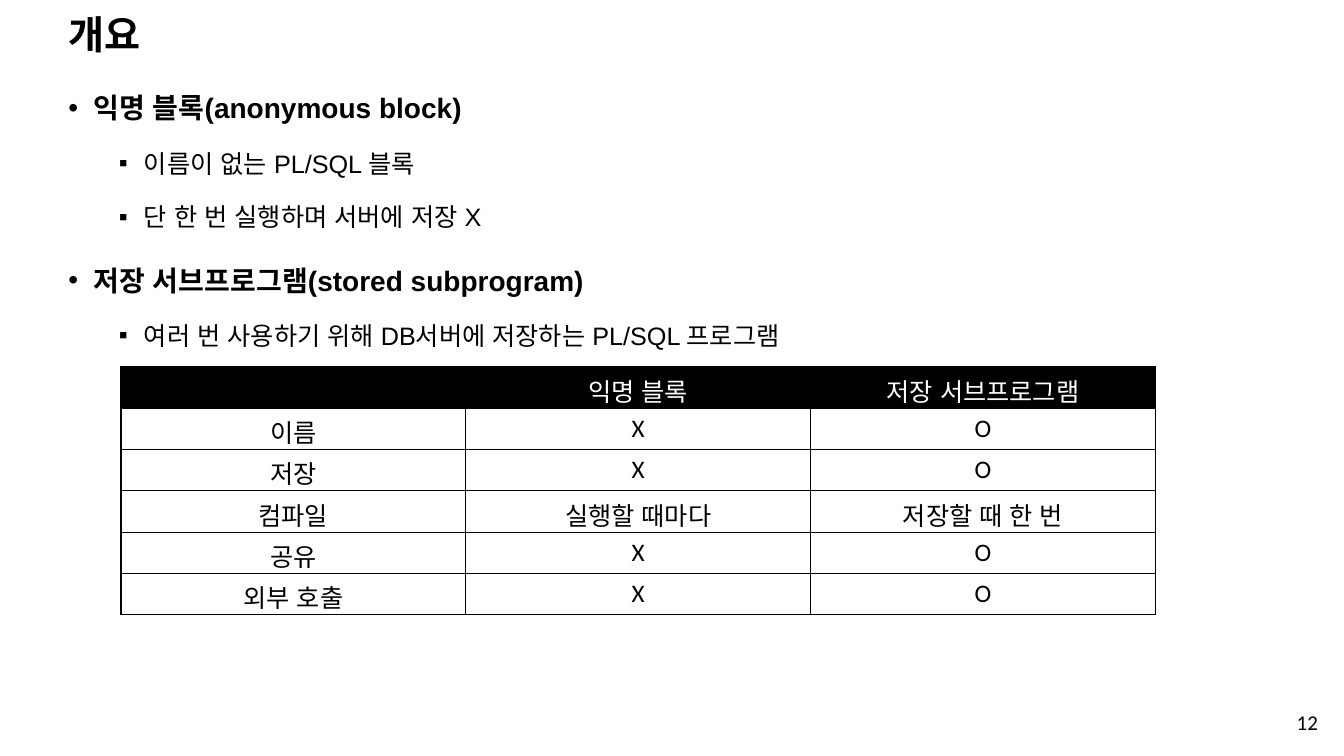
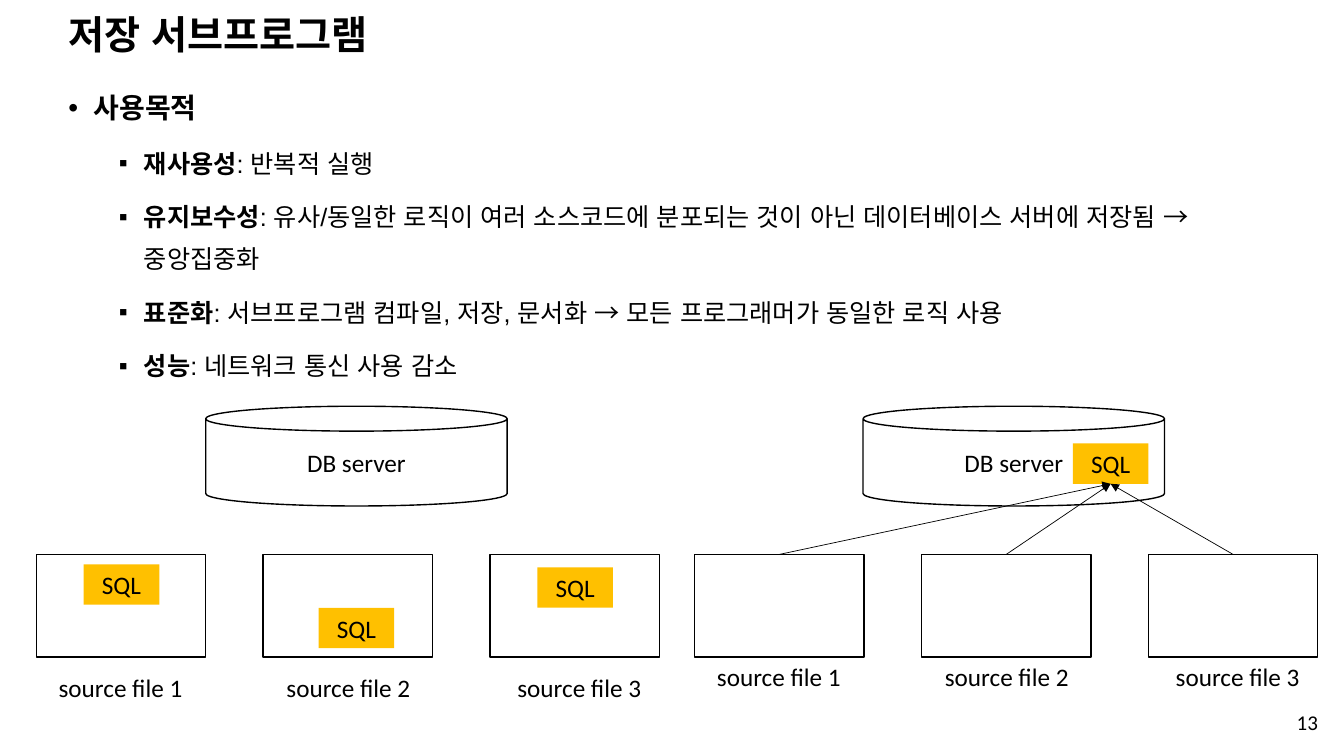
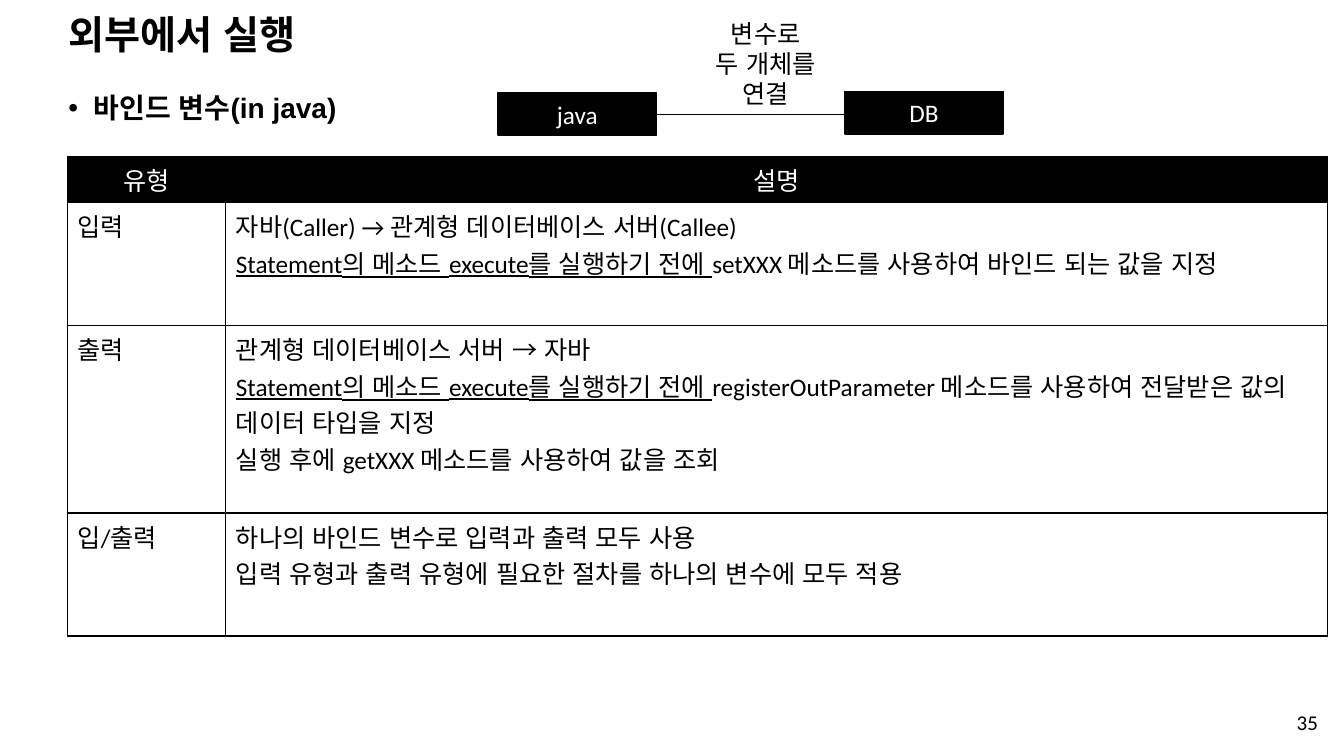
from lxml.etree import SubElement
from pptx import Presentation
from pptx.dml.color import RGBColor
from pptx.enum.lang import MSO_LANGUAGE_ID
from pptx.enum.shapes import MSO_CONNECTOR, MSO_SHAPE
from pptx.enum.text import MSO_ANCHOR, PP_ALIGN
from pptx.oxml.ns import qn
from pptx.util import Inches, Pt

HUES = {"ink": "000000", "page": "FFFFFF", "sql": "FFC000"}
LEFT, CENTER, RIGHT = PP_ALIGN.LEFT, PP_ALIGN.CENTER, PP_ALIGN.RIGHT
SIZE = (13.33, 7.5)
TITLE = (0.58, 0.17, 11.5, 0.38)
BODY = (0.58, 0.72, 12.14, 6.45)
NUMBER = (9.42, 6.95, 3.75, 0.42)

# Body levels: bullet, indent, size, bold, space before
LEVELS = [("•", 0.25, 20, True, 10), ("▪", 0.75, 18, False, 5)]
BOLD, LINE = {"bold": True}, {"underline": True}

INTRO = [
    (0, "익명 블록(anonymous block)"),
    (1, "이름이 없는 PL/SQL 블록"),
    (1, "단 한 번 실행하며 서버에 저장 X"),
    (0, "저장 서브프로그램(stored subprogram)"),
    (1, "여러 번 사용하기 위해 DB서버에 저장하는 PL/SQL 프로그램"),
]
KINDS = [
    ("", "익명 블록", "저장 서브프로그램"),
    ("이름", "X", "O"),
    ("저장", "X", "O"),
    ("컴파일", "실행할 때마다", "저장할 때 한 번"),
    ("공유", "X", "O"),
    ("외부 호출", "X", "O"),
]
GOALS = [
    (0, "사용목적"),
    (1, ("재사용성", BOLD), ": 반복적 실행"),
    (1, ("유지보수성", BOLD), ": 유사/동일한 로직이 여러 소스코드에 분포되는 것이 아닌 "
        "데이터베이스 서버에 저장됨 → 중앙집중화"),
    (1, ("표준화", BOLD), ": 서브프로그램 컴파일, 저장, 문서화 → "
        "모든 프로그래머가 동일한 로직 사용"),
    (1, ("성능", BOLD), ": 네트워크 통신 사용 감소"),
]
# Two scenes: first file, database left, caption top, SQL places
SCENES = [
    (0.36, 2.04, 6.62, [(0.83, 5.6), (3.16, 6.03), (5.33, 5.63)]),
    (6.89, 8.56, 6.51, [(10.64, 4.4)]),
]
FILE = (1.68, 1.02)
FILE_TOP, FILE_STEP = 5.5, 2.25
NUDGE = (0.11, 0.12, 0.16)
CAN = (2.99, 0.99)
TAG = (0.75, 0.4)

BIND = [(0, "바인드 변수(in java)")]
BEFORE = ("Statement의 메소드 execute를 실행하기 전에 ", LINE)
MODES = [
    ("유형", "설명"),
    ("입력", [
        "자바(Caller) → 관계형 데이터베이스 서버(Callee)",
        [BEFORE, "setXXX 메소드를 사용하여 바인드 되는 값을 지정"]]),
    ("출력", [
        "관계형 데이터베이스 서버 → 자바",
        [BEFORE, "registerOutParameter 메소드를 사용하여 전달받은 값의 데이터 타입을 지정"],
        "실행 후에 getXXX 메소드를 사용하여 값을 조회"]),
    ("입/출력", [
        "하나의 바인드 변수로 입력과 출력 모두 사용",
        "입력 유형과 출력 유형에 필요한 절차를 하나의 변수에 모두 적용"]),
]
ENDS = [("java", 4.94, 0.92), ("DB", 8.38, 0.91)]
END = (1.57, 0.42)
LINK = ["변수로", "두 개체를", "연결"]


def hue(name):
    return RGBColor.from_string(HUES[name])


def inch(*nums):
    return [Inches(n) for n in nums]


def write(para, runs, size=18, font="Calibri", color="ink", bold=False,
          align=LEFT, space=None):
    """Fill a paragraph with runs: plain strings or (text, changes) pairs."""
    para.alignment = align
    if space:
        para.line_spacing = space
    for part in [runs] if isinstance(runs, str) else runs:
        text, more = (part, {}) if isinstance(part, str) else part
        run = para.add_run()
        run.text = text
        face = run.font
        face.size, face.name = Pt(size), font
        face.language_id = MSO_LANGUAGE_ID.KOREAN
        face.color.rgb = hue(color)
        face.bold = more.get("bold", bold)
        face.underline = more.get("underline", False)


def put(frame, text, **fmt):
    """Write one string, or a list with one entry per paragraph."""
    for i, runs in enumerate([text] if isinstance(text, str) else text):
        write(frame.add_paragraph() if i else frame.paragraphs[0], runs, **fmt)


def label(slide, box, text, wrap=True, anchor=MSO_ANCHOR.TOP, **fmt):
    frame = slide.shapes.add_textbox(*inch(*box)).text_frame
    frame.word_wrap = wrap
    frame.vertical_anchor = anchor
    put(frame, text, **fmt)


def block(slide, box, text="", kind=MSO_SHAPE.RECTANGLE, fill="page",
          edge="ink", **fmt):
    shape = slide.shapes.add_shape(kind, *inch(*box))
    shape.shadow.inherit = False
    shape.fill.solid()
    shape.fill.fore_color.rgb = hue(fill)
    if edge:
        shape.line.color.rgb = hue(edge)
        shape.line.width = Pt(1)
    else:
        shape.line.fill.background()
    if text:
        shape.text_frame.vertical_anchor = MSO_ANCHOR.MIDDLE
        put(shape.text_frame, text, align=CENTER, **fmt)


def link(slide, start, end, arrow=False):
    wire = slide.shapes.add_connector(
        MSO_CONNECTOR.STRAIGHT, *inch(*start, *end))
    wire.line.color.rgb = hue("ink")
    wire.line.width = Pt(0.5)
    if arrow:
        SubElement(wire.line._get_or_add_ln(), qn("a:tailEnd"), type="triangle")
    SubElement(wire._element.spPr, qn("a:effectLst"))


def border(cell):
    props = cell._tc.get_or_add_tcPr()
    for side in ("lnL", "lnR", "lnT", "lnB"):
        line = SubElement(props, qn(f"a:{side}"), w=str(Pt(1)))
        fill = SubElement(line, qn("a:solidFill"))
        SubElement(fill, qn("a:srgbClr"), val=HUES["ink"])


def grid(slide, left, top, cols, rows, data, align):
    """Draw a ruled table with a black, centred head row."""
    table = slide.shapes.add_table(
        len(rows), len(cols), *inch(left, top, sum(cols), sum(rows))).table
    table.first_row = table.horz_banding = False
    for col, width in zip(table.columns, cols):
        col.width = Inches(width)
    for r, (row, high) in enumerate(zip(data, rows)):
        table.rows[r].height = Inches(high)
        for c, text in enumerate(row):
            cell = table.cell(r, c)
            border(cell)
            cell.fill.solid()
            cell.fill.fore_color.rgb = hue("page" if r else "ink")
            if r and align == LEFT:
                cell.margin_right = Inches(0.25)
            if text:
                put(cell.text_frame, text, color="ink" if r else "page",
                    align=align if r else CENTER)


def bullets(slide, items):
    frame = slide.shapes.add_textbox(*inch(*BODY)).text_frame
    frame.word_wrap = True
    for i, (level, *runs) in enumerate(items):
        mark, left, size, bold, gap = LEVELS[level]
        para = frame.add_paragraph() if i else frame.paragraphs[0]
        props = para._p.get_or_add_pPr()
        props.set("marL", str(Inches(left)))
        props.set("indent", str(Inches(-0.25)))
        para.space_before = Pt(gap if i else 0)
        para.space_after = Pt(3)
        para.line_spacing = 1.4
        SubElement(props, qn("a:buFont"), typeface="Arial")
        SubElement(props, qn("a:buChar"), char=mark)
        write(para, runs, size=size, font="Arial", bold=bold)


def start(deck, title, number, items):
    slide = deck.slides.add_slide(deck.slide_layouts[6])
    label(slide, TITLE, title, anchor=MSO_ANCHOR.MIDDLE, size=28,
          font="Arial", bold=True, space=0.9)
    bullets(slide, items)
    label(slide, NUMBER, number, anchor=MSO_ANCHOR.MIDDLE, size=15,
          align=RIGHT)
    return slide


def scene(slide, first, base, foot, tags):
    """Draw a database, three source files and their SQL tags."""
    lefts = [first + i * FILE_STEP for i in range(len(NUDGE))]
    block(slide, (base, 4.03, *CAN), "DB server", kind=MSO_SHAPE.CAN)
    for i, (x, nudge) in enumerate(zip(lefts, NUDGE), 1):
        block(slide, (x, FILE_TOP, *FILE))
        label(slide, (x + nudge, foot, 1.45, 0.4), f"source file {i}",
              wrap=False, align=CENTER)
    for x, y in tags:
        block(slide, (x, y, *TAG), "SQL", fill="sql", edge=None)
    if len(tags) == 1:
        goal = (tags[0][0] + TAG[0] / 2, tags[0][1] + TAG[1])
        for x in lefts:
            link(slide, (x + FILE[0] / 2, FILE_TOP), goal, arrow=True)


def main():
    deck = Presentation()
    deck.slide_width, deck.slide_height = inch(*SIZE)

    slide = start(deck, "개요", "12", INTRO)
    grid(slide, 1.2, 3.64, [3.42] * 3, [0.41] * 6, KINDS, CENTER)

    slide = start(deck, "저장 서브프로그램", "13", GOALS)
    for part in SCENES:
        scene(slide, *part)

    slide = start(deck, "외부에서 실행", "35", BIND)
    grid(slide, 0.67, 1.55, [1.57, 10.93], [0.46, 1.22, 1.86, 1.22],
         MODES, LEFT)
    for name, x, y in ENDS:
        block(slide, (x, y, *END), name, fill="ink", color="page")
    link(slide, (ENDS[0][1] + END[0], 1.13), (ENDS[1][1], 1.13))
    label(slide, (6.96, 0.13, 1.27, 1.01), LINK, wrap=False, align=CENTER)

    deck.save("out.pptx")


if __name__ == "__main__":
    main()
